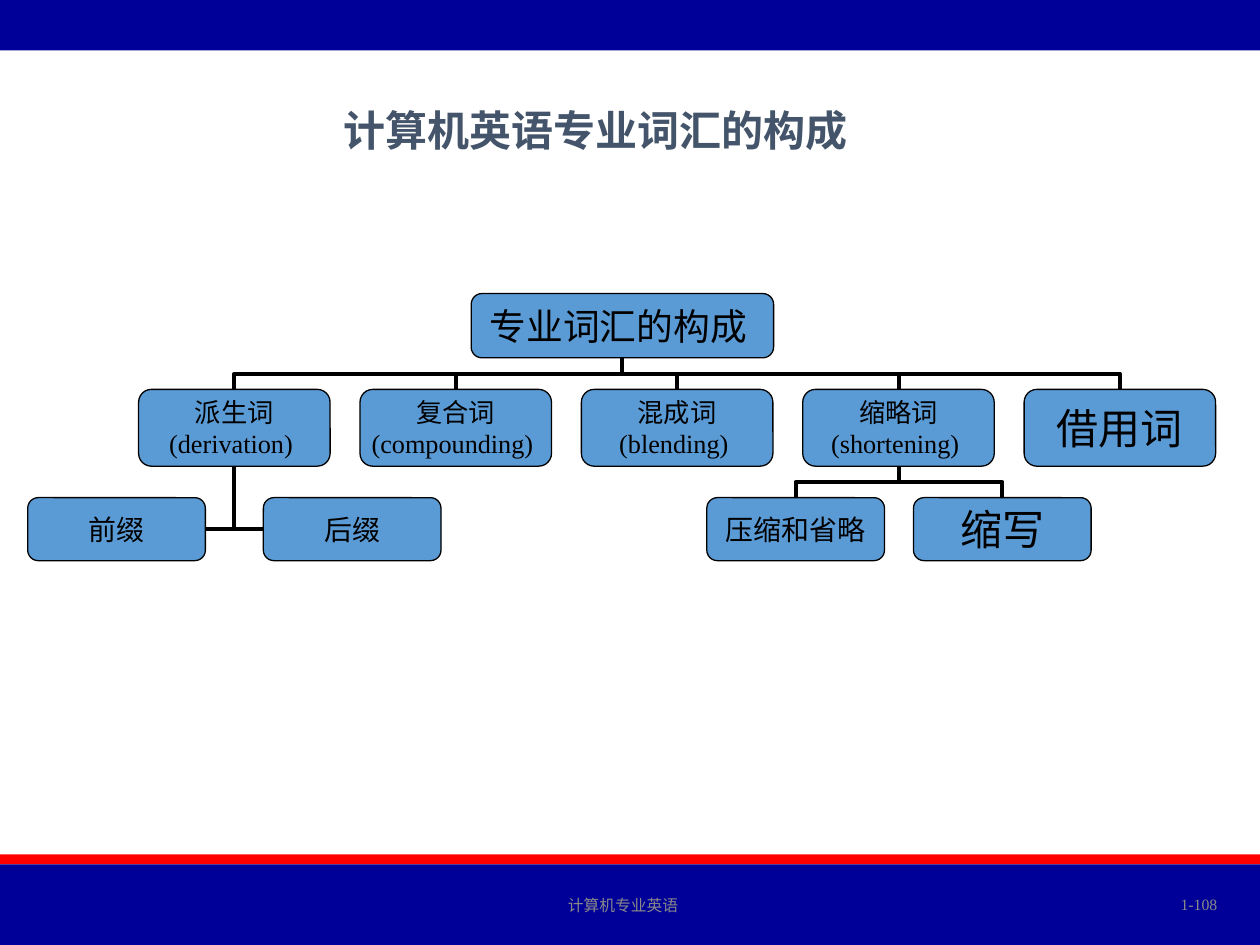
from pptx import Presentation
from pptx.dml.color import RGBColor
from pptx.enum.shapes import MSO_CONNECTOR, MSO_SHAPE
from pptx.enum.text import MSO_ANCHOR, PP_ALIGN
from pptx.oxml.ns import qn
from pptx.util import Inches, Pt
from lxml.etree import SubElement

COLORS = {"navy": "000099", "red": "FF0000", "node": "5B9BD5",
          "black": "000000", "title": "44546A", "footer": "898989"}


def write(box, text, size, color="black", bold=False, align=PP_ALIGN.CENTER,
          anchor=MSO_ANCHOR.MIDDLE, wrap=True, margins=(0.1, 0.05)):
    frame = box.text_frame
    frame.word_wrap = wrap
    frame.vertical_anchor = anchor
    frame.margin_left = frame.margin_right = Inches(margins[0])
    frame.margin_top = frame.margin_bottom = Inches(margins[1])
    frame.text = text
    for para in frame.paragraphs:
        para.alignment = align
        for span in para.runs:
            span.font.name = "Times New Roman"
            span.font.size = Pt(size)
            span.font.bold = bold
            span.font.color.rgb = RGBColor.from_string(COLORS[color])


def link(parent, child, site):
    """Elbow from the parent's bottom, leaving downwards, to a site of the child."""
    line = page.shapes.add_connector(MSO_CONNECTOR.ELBOW, 0, 0, 0, 0)
    line.begin_connect(parent, 2)
    line.end_connect(child, site)
    start_x, start_y = line.begin_x, line.begin_y
    end_x, end_y = line.end_x, line.end_y
    # The elbow is stored unrotated, so width and height swap about its centre
    line.width, line.height = end_y - start_y, abs(end_x - start_x)
    line.left = (start_x + end_x - line.width) // 2
    line.top = (start_y + end_y - line.height) // 2
    rightward = end_x > start_x
    properties = line._element.spPr
    transform = properties.find(qn("a:xfrm"))
    transform.set("rot", "16200000" if rightward else "5400000")
    transform.set("flipH", "1" if rightward else "0")
    transform.set("flipV", "0")
    if site != 0:
        properties.find(qn("a:prstGeom")).set("prst", "bentConnector2")
    line.line.color.rgb = RGBColor.from_string(COLORS["black"])
    line.line.width = Pt(2.25)
    SubElement(properties, qn("a:effectLst"))


deck = Presentation()
deck.slide_width, deck.slide_height = Inches(10), Inches(7.5)
page = deck.slides.add_slide(deck.slide_layouts[6])

# Bands at the top and bottom
for top, height, color in [(6.78, 0.08, "red"), (6.86, 0.64, "navy"), (0, 0.4, "navy")]:
    band = page.shapes.add_shape(MSO_SHAPE.RECTANGLE, 0, Inches(top), Inches(10), Inches(height))
    band.shadow.inherit = False
    band.fill.solid()
    band.fill.fore_color.rgb = RGBColor.from_string(COLORS[color])
    band.line.fill.background()

# Tree nodes: text, size, left, top, width, height
BRANCH_LEFT, BRANCH_STEP = 1.1, 1.757
branches = [("派生词\n(derivation) ", 15), ("复合词\n(compounding) ", 15),
            ("混成词\n(blending) ", 15), ("缩略词\n(shortening) ", 15), ("借用词", 24)]
leaves = [("前缀", 16, 0.22), ("后缀", 16, 2.09), ("压缩和省略", 16, 5.61), ("缩写", 24, 7.25)]
specs = [("专业词汇的构成 ", 21, 3.74, 2.33, 2.4, 0.51)]
specs += [(text, size, BRANCH_LEFT + index * BRANCH_STEP, 3.09, 1.52, 0.61)
          for index, (text, size) in enumerate(branches)]
specs += [(text, size, left, 3.95, 1.41, 0.5) for text, size, left in leaves]

nodes = []
for text, size, *place in specs:
    node = page.shapes.add_shape(MSO_SHAPE.ROUNDED_RECTANGLE, *map(Inches, place))
    node.shadow.inherit = False
    node.fill.solid()
    node.fill.fore_color.rgb = RGBColor.from_string(COLORS["node"])
    node.line.color.rgb = RGBColor.from_string(COLORS["black"])
    node.line.width = Pt(0.75)
    write(node, text, size, wrap=False, margins=(0.05, 0.02))
    nodes.append(node)

# Links from each parent to its children
root, derivation, shortening = nodes[0], nodes[1], nodes[4]
prefix, suffix, clipping, acronym = nodes[6:]
for branch in nodes[1:6]:
    link(root, branch, 0)
link(derivation, prefix, 3)
link(derivation, suffix, 1)
for leaf in (clipping, acronym):
    link(shortening, leaf, 0)

# Title, footer and page number
texts = [
    ("计算机英语专业词汇的构成 ", (0.47, 0.78, 8.58, 0.5),
     dict(size=24, color="title", bold=True, anchor=MSO_ANCHOR.TOP)),
    ("计算机专业英语", (3.36, 7.03, 3.17, 0.31), dict(size=9, color="footer")),
    ("1-108", (7.26, 7.02, 2.5, 0.31), dict(size=9, color="footer", align=PP_ALIGN.RIGHT)),
]
for text, place, style in texts:
    write(page.shapes.add_textbox(*map(Inches, place)), text, **style)

deck.save("out.pptx")
